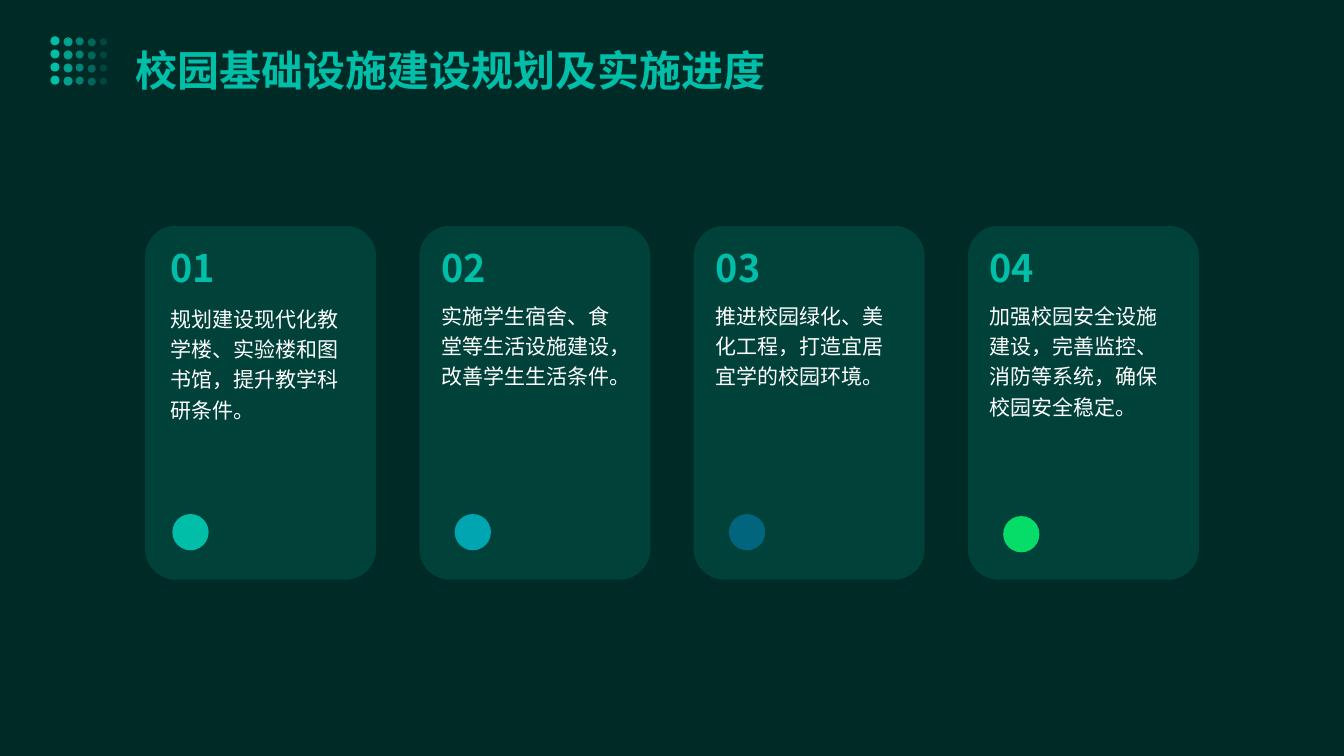
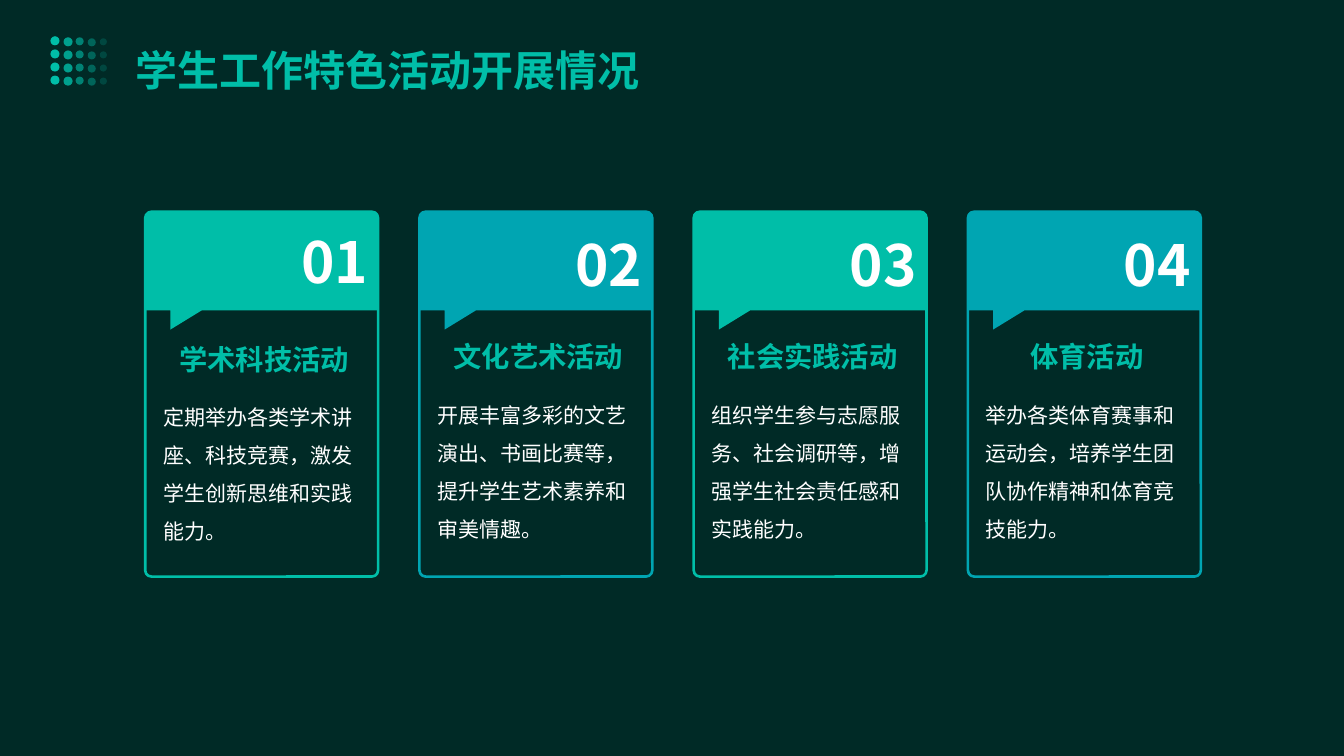
import math

from lxml import etree
from pptx import Presentation
from pptx.dml.color import RGBColor
from pptx.enum.shapes import MSO_SHAPE
from pptx.enum.text import MSO_ANCHOR, PP_ALIGN
from pptx.oxml.ns import qn
from pptx.util import Inches, Pt

ELLIPSE, ROUND_RECT = MSO_SHAPE.OVAL, MSO_SHAPE.ROUNDED_RECTANGLE
TOP = MSO_ANCHOR.TOP
LEFT, CENTER, RIGHT = PP_ALIGN.LEFT, PP_ALIGN.CENTER, PP_ALIGN.RIGHT

FONT = "Noto Sans CJK SC"
DARK = RGBColor(0x00, 0x2A, 0x26)
TEAL = RGBColor(0x00, 0xBE, 0xA8)
CYAN = RGBColor(0x00, 0xA5, 0xB2)
BLUE = RGBColor(0x00, 0x65, 0x7D)
GREEN = RGBColor(0x05, 0xDD, 0x68)
WHITE = RGBColor(0xFF, 0xFF, 0xFF)

CARD_LEFT, CARD_PITCH = 1.44, 2.72

# text, dot colour, text indent, text drop, dot indent, dot drop
PLAN_CARDS = [
    ("规划建设现代化教学楼、实验楼和图书馆，提升教学科研条件。", TEAL, 0.25, 0.75, 0.27, 2.86),
    ("实施学生宿舍、食堂等生活设施建设，改善学生生活条件。", CYAN, 0.22, 0.72, 0.35, 2.86),
    ("推进校园绿化、美化工程，打造宜居宜学的校园环境。", BLUE, 0.22, 0.72, 0.35, 2.86),
    ("加强校园安全设施建设，完善监控、消防等系统，确保校园安全稳定。", GREEN, 0.21, 0.72, 0.35, 2.88),
]
# heading, text, colour, number drop, heading drop
ACTIVITY_CARDS = [
    ("学术科技活动", "定期举办各类学术讲座、科技竞赛，激发学生创新思维和实践能力。", TEAL, 0.1, 1.19),
    ("文化艺术活动", "开展丰富多彩的文艺演出、书画比赛等，提升学生艺术素养和审美情趣。", CYAN, 0.13, 1.17),
    ("社会实践活动", "组织学生参与志愿服务、社会调研等，增强学生社会责任感和实践能力。", TEAL, 0.13, 1.17),
    ("体育活动", "举办各类体育赛事和运动会，培养学生团队协作精神和体育竞技能力。", CYAN, 0.13, 1.17),
]


def set_text(sp, text, size, color, bold=False, align=LEFT, spacing=None, insets=(0, 0, 0, 0)):
    tf = sp.text_frame
    tf.word_wrap = True
    tf.vertical_anchor = TOP
    tf.margin_left, tf.margin_top, tf.margin_right, tf.margin_bottom = map(Inches, insets)
    p = tf.paragraphs[0]
    p.alignment = align
    if spacing:
        p.line_spacing = spacing
    r = p.add_run()
    r.text = text
    r.font.name, r.font.size, r.font.bold = FONT, Pt(size), bold
    r.font.color.rgb = color
    etree.SubElement(r.font._element, qn("a:ea"), typeface=FONT)


def add_text(s, box, text, size, color, **fmt):
    set_text(s.shapes.add_textbox(*map(Inches, box)), text, size, color, **fmt)


def paint(sp, fill=None, alpha=100, line=None):
    sp.shadow.inherit = False
    if fill is None:
        sp.fill.background()
    else:
        sp.fill.solid()
        sp.fill.fore_color.rgb = fill
        if alpha < 100:
            clr = sp.element.spPr.find(".//" + qn("a:srgbClr"))
            etree.SubElement(clr, qn("a:alpha"), val=str(alpha * 1000))
    if line is None:
        sp.line.fill.background()
    else:
        sp.line.color.rgb = line
        sp.line.width = Pt(1.88)


def add_shape(shapes, kind, box, adj=None, **style):
    sp = shapes.add_shape(kind, *map(Inches, box))
    if adj is not None:
        sp.adjustments[0] = adj
    paint(sp, **style)


def add_dot_grid(s, left, top):
    grp = s.shapes.add_group_shape()
    columns = [(0, 0, 0.09), (0.13, 0.01, 0.09), (0.25, 0.01, 0.08),
               (0.37, 0.02, 0.08), (0.49, 0.02, 0.07)]
    for row in range(4):
        for col, (dx, dy, d) in enumerate(columns):
            add_shape(grp.shapes, ELLIPSE, (left + dx, top + dy + 0.13 * row, d, d),
                      fill=TEAL, alpha=100 - 20 * col)


def add_titled_slide(prs, title):
    s = prs.slides.add_slide(prs.slide_layouts[5])
    sp = s.shapes.title
    sp.left, sp.top, sp.width, sp.height = map(Inches, (1.2, 0.1, 10.94, 1))
    set_text(sp, title, 30, TEAL, bold=True, spacing=1.4, insets=(0.14, 0.14, 0.06, 0.14))
    add_dot_grid(s, 0.5, 0.36)
    return s


def add_plan_card(s, left, top, number, card):
    text, color, indent, text_dy, dot_dx, dot_dy = card
    add_shape(s.shapes, ROUND_RECT, (left, top, 2.29, 3.51), adj=0.132, fill=TEAL, alpha=16)
    add_shape(s.shapes, ELLIPSE, (left + dot_dx, top + dot_dy, 0.36, 0.36), fill=color)
    add_text(s, (left + indent, top + 0.19, 1.87, 0.48), number, 27, TEAL, bold=True)
    add_text(s, (left + indent, top + text_dy, 1.87, 2.08), text, 15, WHITE, spacing=1.2)


def add_speech_tab(s, left, top, width, color):
    """Band with rounded top corners and a pointer under its left end."""
    radius, height = 0.06, 0.98
    points = []
    for cx, start in ((radius, 180), (width - radius, 270)):
        for step in range(7):
            a = math.radians(start + 15 * step)
            points.append((cx + radius * math.cos(a), radius + radius * math.sin(a)))
    points += [(width, height), (0.56, height), (0.25, 1.17), (0.25, height), (0, height)]
    emu = [(Inches(left + x), Inches(top + y)) for x, y in points]
    fb = s.shapes.build_freeform(*emu[0])
    fb.add_line_segments(emu[1:])
    paint(fb.convert_to_shape(), fill=color)


def add_activity_card(s, left, top, number, card):
    heading, text, color, number_dy, heading_dy = card
    width, insets = 2.31, (0.1, 0.1, 0.05, 0.1)
    add_shape(s.shapes, ROUND_RECT, (left, top, width, 3.62), adj=0.027, line=color)
    add_speech_tab(s, left, top, width, color)
    add_text(s, (left, top + number_dy, width, 0.8), number, 40.5, WHITE, bold=True,
             align=RIGHT, insets=(0.1, 0.05, 0.1, 0.05))
    add_text(s, (left, top + heading_dy, width, 0.48), heading, 20.2, TEAL, bold=True,
             align=CENTER, insets=insets)
    add_text(s, (left + 0.08, top + heading_dy + 0.5, 2.13, 1.81), text, 15, WHITE,
             spacing=1.5, insets=insets)


def add_card_slide(prs, title, add_card, top, cards):
    s = add_titled_slide(prs, title)
    for i, card in enumerate(cards):
        add_card(s, CARD_LEFT + i * CARD_PITCH, top, f"{i + 1:02}", card)


def main():
    prs = Presentation()
    prs.slide_width, prs.slide_height = Inches(13.33), Inches(7.5)
    bg = prs.slide_master.background.fill
    bg.solid()
    bg.fore_color.rgb = DARK
    add_card_slide(prs, "校园基础设施建设规划及实施进度", add_plan_card, 2.24, PLAN_CARDS)
    add_card_slide(prs, "学生工作特色活动开展情况", add_activity_card, 2.1, ACTIVITY_CARDS)
    prs.save("out.pptx")


if __name__ == "__main__":
    main()
